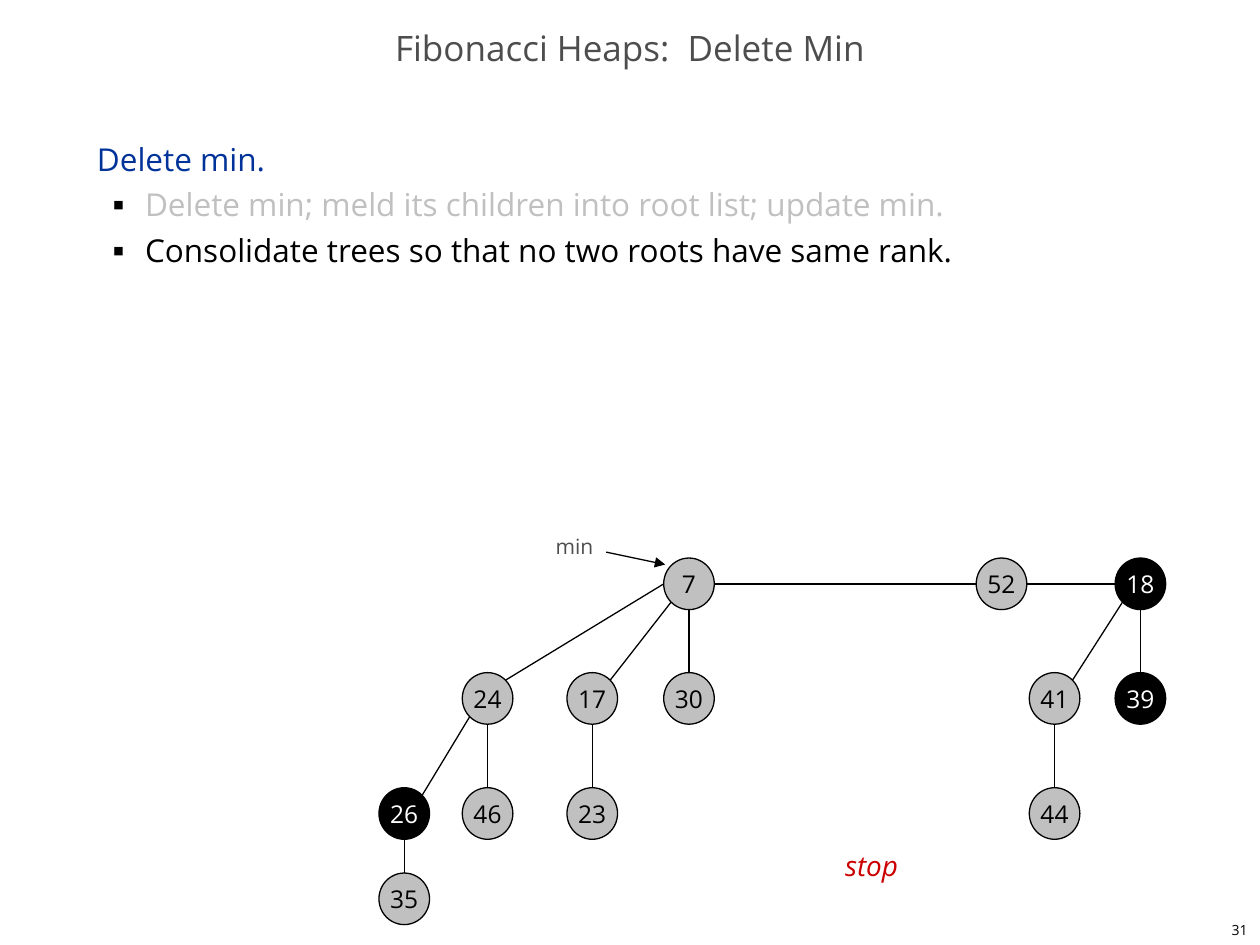
from lxml.etree import SubElement
from pptx import Presentation
from pptx.dml.color import RGBColor
from pptx.enum.shapes import MSO_CONNECTOR, MSO_SHAPE
from pptx.enum.text import MSO_ANCHOR as ANCHOR, MSO_AUTO_SIZE as AUTO, PP_ALIGN as ALIGN
from pptx.oxml.ns import qn
from pptx.util import Cm, Pt

FONT = "Open Sans"
BLACK, WHITE, GRAY, DARK = "000000", "FFFFFF", "C0C0C0", "4D4D4D"
BLUE, RED, MARKED = "003399", "CC0000", "010000"

TITLE = "Fibonacci Heaps:  Delete Min"
BODY = [
    ("Delete min.", 0, BLUE),
    ("Delete min; meld its children into root list; update min.", 1, GRAY),
    ("Consolidate trees so that no two roots have same rank.", 1, BLACK),
]
LABELS = [
    ("31", (20.12, 18.42, 5.28, 0.64), 8, BLACK, ALIGN.RIGHT, ANCHOR.MIDDLE, False),
    ("min", (10.95, 10.64, 1.27, 0.76), 12, DARK, ALIGN.LEFT, ANCHOR.TOP, False),
    ("stop", (16.79, 16.99, 1.85, 0.94), 16, RED, ALIGN.LEFT, ANCHOR.TOP, True),
]
NODE_W, NODE_H = 1.02, 1.04
LEVELS = [11.77, 14.08, 16.4, 18.12]
NODES = {
    "7": (13.89, 0), "52": (20.19, 0), "18": (22.99, 0),
    "24": (9.83, 1), "17": (11.94, 1), "30": (13.89, 1), "41": (21.26, 1), "39": (22.99, 1),
    "26": (8.15, 2), "46": (9.83, 2), "23": (11.94, 2), "44": (21.26, 2),
    "35": (8.15, 3),
}
MARKED_NODES = {"18", "39", "26"}
DIAG = 0.707
SITES = {
    "top": (0, -1), "bottom": (0, 1), "left": (-1, 0), "right": (1, 0),
    "lower left": (-DIAG, DIAG), "upper right": (DIAG, -DIAG),
}
EDGES = [
    ("right", "left", ["7-52", "52-18"]),
    ("left", "upper right", ["7-24"]),
    ("lower left", "upper right", ["7-17", "24-26", "18-41"]),
    ("bottom", "top", ["7-30", "18-39", "24-46", "17-23", "41-44", "26-35"]),
]
MIN_ARROW = ((12.22, 11.13), (13.41, 11.38))


def rgb(color):
    return RGBColor.from_string(color)


def style(p, size, color, align=ALIGN.LEFT, italic=None):
    p.alignment = align
    for r in p.runs:
        r.font.name, r.font.size, r.font.italic = FONT, Pt(size), italic
        r.font.color.rgb = rgb(color)


def place(sp, left, top, width, height):
    sp.left, sp.top, sp.width, sp.height = Cm(left), Cm(top), Cm(width), Cm(height)


def set_bullet(p, level):
    pPr = p._p.get_or_add_pPr()
    pPr.set("marL", str(Cm(0.97) * level))
    pPr.set("indent", str(Cm(-0.64) * level))
    if level:
        SubElement(SubElement(pPr, qn("a:buClr")), qn("a:srgbClr"), val=BLACK)
        SubElement(pPr, qn("a:buSzPct"), val="35000")
        SubElement(pPr, qn("a:buFont"), typeface=FONT)
        SubElement(pPr, qn("a:buChar"), char="■")
    else:
        SubElement(pPr, qn("a:buNone"))


def add_line(slide, start, end, arrow=False):
    line = slide.shapes.add_connector(MSO_CONNECTOR.STRAIGHT, *map(Cm, start + end))
    line.line.color.rgb, line.line.width = rgb(BLACK), Pt(0.75)
    if arrow:
        SubElement(line.line._get_or_add_ln(), qn("a:tailEnd"), type="triangle")
    SubElement(line._element.spPr, qn("a:effectLst"))


def add_node(slide, key):
    x, level = NODES[key]
    box = x - NODE_W / 2, LEVELS[level] - NODE_H / 2, NODE_W, NODE_H
    sp = slide.shapes.add_shape(MSO_SHAPE.OVAL, *map(Cm, box))
    marked = key in MARKED_NODES
    sp.shadow.inherit = False
    sp.fill.solid()
    sp.fill.fore_color.rgb = rgb(MARKED if marked else GRAY)
    sp.line.color.rgb, sp.line.width = rgb(BLACK), Pt(0.75)
    tf = sp.text_frame
    tf.text, tf.word_wrap, tf.vertical_anchor = key, False, ANCHOR.MIDDLE
    style(tf.paragraphs[0], 14, WHITE if marked else BLACK, ALIGN.CENTER)


def site_point(key, site):
    x, level = NODES[key]
    dx, dy = SITES[site]
    return x + dx * NODE_W / 2, LEVELS[level] + dy * NODE_H / 2


def main():
    prs = Presentation()
    prs.slide_width, prs.slide_height = Cm(25.4), Cm(19.05)
    slide = prs.slides.add_slide(prs.slide_layouts[1])
    title, body = slide.placeholders

    place(title, 0, 0.43, 25.4, 1.27)
    tf = title.text_frame
    tf.text, tf.vertical_anchor, tf.auto_size = TITLE, ANCHOR.MIDDLE, AUTO.NONE
    tf.paragraphs[0].line_spacing = 0.7
    style(tf.paragraphs[0], 20, DARK, ALIGN.CENTER)

    place(body, 1.7, 2.54, 21.79, 15.04)
    tf = body.text_frame
    tf.text = "\n".join(text for text, _, _ in BODY)
    tf.auto_size = AUTO.NONE
    for p, (_, level, color) in zip(tf.paragraphs, BODY):
        p.level, p.line_spacing, p.space_before = level, Pt(26), Pt(0)
        set_bullet(p, level)
        style(p, 18, color)

    for key in NODES:
        add_node(slide, key)
    for start, end, pairs in EDGES:
        for pair in pairs:
            parent, child = pair.split("-")
            add_line(slide, site_point(parent, start), site_point(child, end))
    add_line(slide, *MIN_ARROW, arrow=True)

    for text, box, size, color, align, anchor, italic in LABELS:
        tf = slide.shapes.add_textbox(*map(Cm, box)).text_frame
        tf.text, tf.word_wrap, tf.vertical_anchor = text, True, anchor
        style(tf.paragraphs[0], size, color, align, italic)

    prs.save("out.pptx")


if __name__ == "__main__":
    main()
